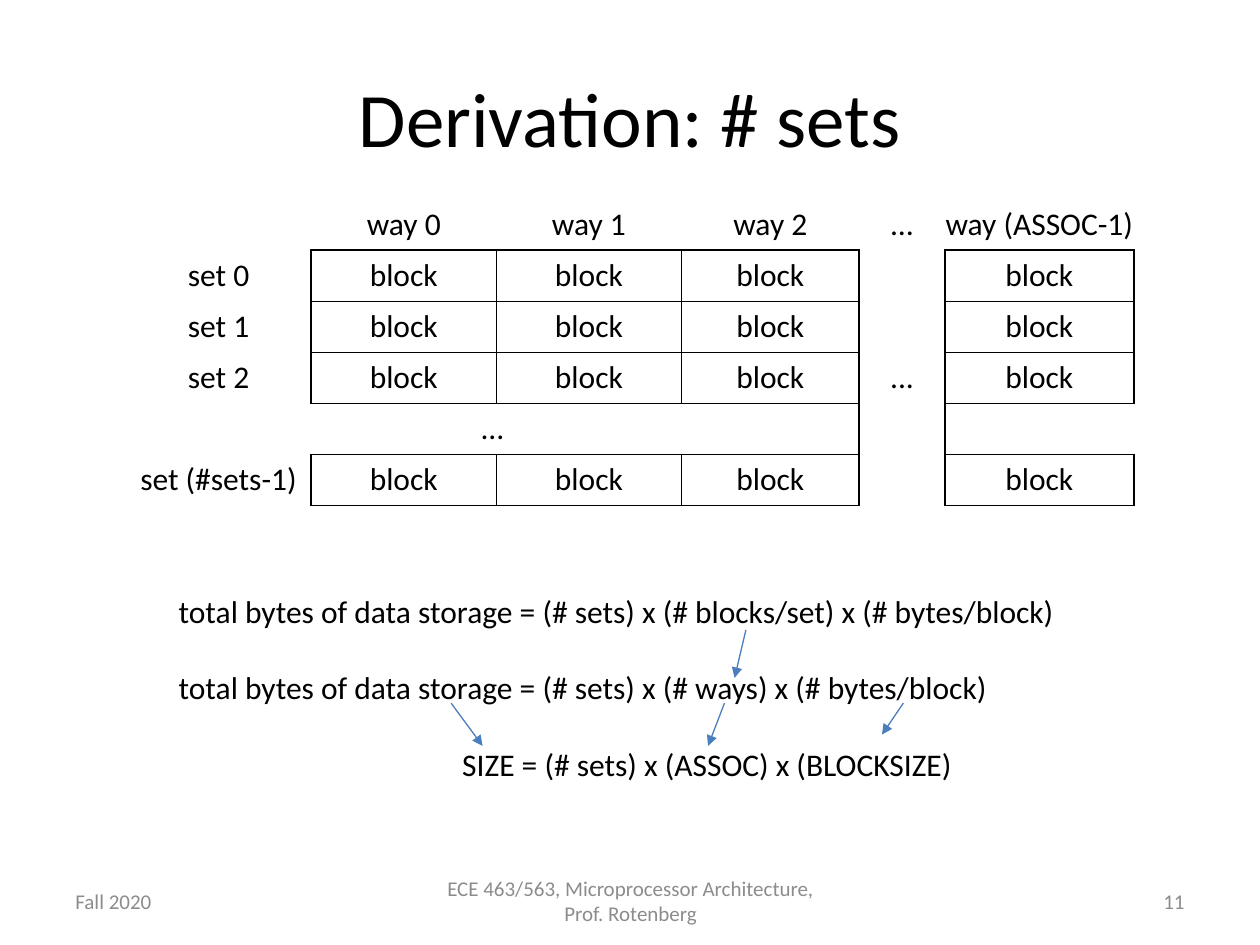
from dataclasses import dataclass

from lxml.etree import SubElement
from pptx import Presentation
from pptx.dml.color import RGBColor
from pptx.enum.shapes import MSO_CONNECTOR as Connector
from pptx.enum.text import MSO_ANCHOR as Anchor, PP_ALIGN as Align
from pptx.oxml.ns import qn
from pptx.util import Inches, Pt


@dataclass(frozen=True)
class Theme:
    font: str = "Calibri"
    ink: str = "000000"
    muted: str = "8C8C8C"
    arrow: str = "4B7EBC"
    title: int = 44
    body: int = 18
    footer: int = 12


THEME = Theme()
NO_STYLE = "{2D5ABB26-0587-4C30-8999-92F81FD0307C}"

# Content
TITLE = "Derivation: # sets"
WAYS = ["way 0", "way 1", "way 2", "…", "way (ASSOC-1)"]
SETS = ["set 0", "set 1", "set 2", "…", "set (#sets-1)"]
COLUMNS = [1.47, 1.47, 1.47, 1.41, 0.68, 1.5]
GAP_ROW, GAP_COLUMN = 4, 4
FORMULAS = [  # text, left indent
    ("total bytes of data storage = (# sets) x (# blocks/set) x (# bytes/block)", 0),
    ("total bytes of data storage = (# sets) x (# ways) x (# bytes/block)", 0),
    ("SIZE = (# sets) x (ASSOC) x (BLOCKSIZE)", 2.25),
]
ARROWS = [  # start, end
    ((5.92, 5), (5.83, 5.38)),
    ((5.75, 5.58), (5.62, 5.92)),
    ((7.17, 5.58), (7, 5.83)),
    ((3.58, 5.58), (3.83, 5.92)),
]
FOOTERS = [  # text, left, width, alignment
    ("Fall 2020", 0.5, 2.33, Align.LEFT),
    ("ECE 463/563, Microprocessor Architecture, Prof. Rotenberg", 3.42, 3.17, Align.CENTER),
    ("11", 7.17, 2.33, Align.RIGHT),
]


def apply(target, **values):
    for name, value in values.items():
        setattr(target, name, value)


def write(para, text, size, color=THEME.ink, align=Align.LEFT):
    para.alignment = align
    span = para.add_run()
    span.text = text
    apply(span.font, name=THEME.font, size=Pt(size))
    span.font.color.rgb = RGBColor.from_string(color)


def add_box(page, left, top, width, height, anchor=Anchor.TOP):
    box = page.shapes.add_textbox(*map(Inches, (left, top, width, height)))
    apply(box.text_frame, word_wrap=True, vertical_anchor=anchor)
    return box.text_frame


def set_borders(cell, sides):
    props = cell._tc.get_or_add_tcPr()
    for side in "LRTB":
        if side in sides:
            line = SubElement(props, qn(f"a:ln{side}"), w=str(Pt(1)))
            fill = SubElement(line, qn("a:solidFill"))
            SubElement(fill, qn("a:srgbClr"), val=THEME.ink)
    cell.fill.background()


def cell_content(row, column):
    """Return the text and the bordered sides of a grid cell."""
    if row == 0:
        text = WAYS[column - 1] if column else ""
        return text, "B" if column not in (0, GAP_COLUMN) else ""
    if column == 0:
        return SETS[row - 1], "" if row == GAP_ROW else "R"
    if column == GAP_COLUMN:
        return ("...", "L") if row == 1 else ("", "L")
    if row == GAP_ROW:
        return "", "TB" if column > GAP_COLUMN else ""
    open_below = row == GAP_ROW - 1 and column < GAP_COLUMN
    return "block", "LRT" if open_below else "LRTB"


def add_cache_table(page):
    rows, columns = len(SETS) + 1, len(COLUMNS)
    frame = page.shapes.add_table(rows, columns, *map(Inches, (1, 1.58, 8, 2.43)))
    table = frame.table
    apply(table, first_row=False, horz_banding=False)
    table._tbl.tblPr.find(qn("a:tableStyleId")).text = NO_STYLE
    for column, width in zip(table.columns, COLUMNS):
        column.width = Inches(width)
    table.cell(GAP_ROW, 0).merge(table.cell(GAP_ROW, GAP_COLUMN - 1))
    table.cell(1, GAP_COLUMN).merge(table.cell(rows - 1, GAP_COLUMN))
    for row in range(rows):
        for column in range(columns):
            cell = table.cell(row, column)
            text, sides = cell_content(row, column)
            set_borders(cell, sides)
            if text:
                write(cell.text_frame.paragraphs[0], text, THEME.body, align=Align.CENTER)
    table.cell(1, GAP_COLUMN).vertical_anchor = Anchor.MIDDLE
    apply(table.cell(0, columns - 1), margin_left=0, margin_right=0)


def add_formulas(page):
    frame = add_box(page, 1.32, 4.65, 7.23, 1.62)
    for index, (text, indent) in enumerate(FORMULAS):
        para = frame.add_paragraph() if index else frame.paragraphs[0]
        write(para, text, THEME.body)
        para.space_before = Pt(22 if index else 0)
        para._p.get_or_add_pPr().set("marL", str(Inches(indent)))


def add_arrow(page, start, end):
    arrow = page.shapes.add_connector(Connector.STRAIGHT, *map(Inches, start + end))
    arrow.line.width = Pt(0.75)
    arrow.line.color.rgb = RGBColor.from_string(THEME.arrow)
    SubElement(arrow.line._get_or_add_ln(), qn("a:tailEnd"), type="triangle")
    SubElement(arrow._element.spPr, qn("a:effectLst"))


def main():
    deck = Presentation()
    apply(deck, slide_width=Inches(10), slide_height=Inches(7.5))
    page = deck.slides.add_slide(deck.slide_layouts[5])

    # Title
    title = page.shapes.title
    apply(title, left=Inches(0.5), top=Inches(0.3), width=Inches(9), height=Inches(1.25))
    title.text_frame.vertical_anchor = Anchor.MIDDLE
    write(title.text_frame.paragraphs[0], TITLE, THEME.title, align=Align.CENTER)

    # Cache grid, derivation and arrows
    add_cache_table(page)
    add_formulas(page)
    for start, end in ARROWS:
        add_arrow(page, start, end)

    # Footer
    for text, left, width, align in FOOTERS:
        frame = add_box(page, left, 6.95, width, 0.4, Anchor.MIDDLE)
        write(frame.paragraphs[0], text, THEME.footer, THEME.muted, align)

    deck.save("out.pptx")


if __name__ == "__main__":
    main()
